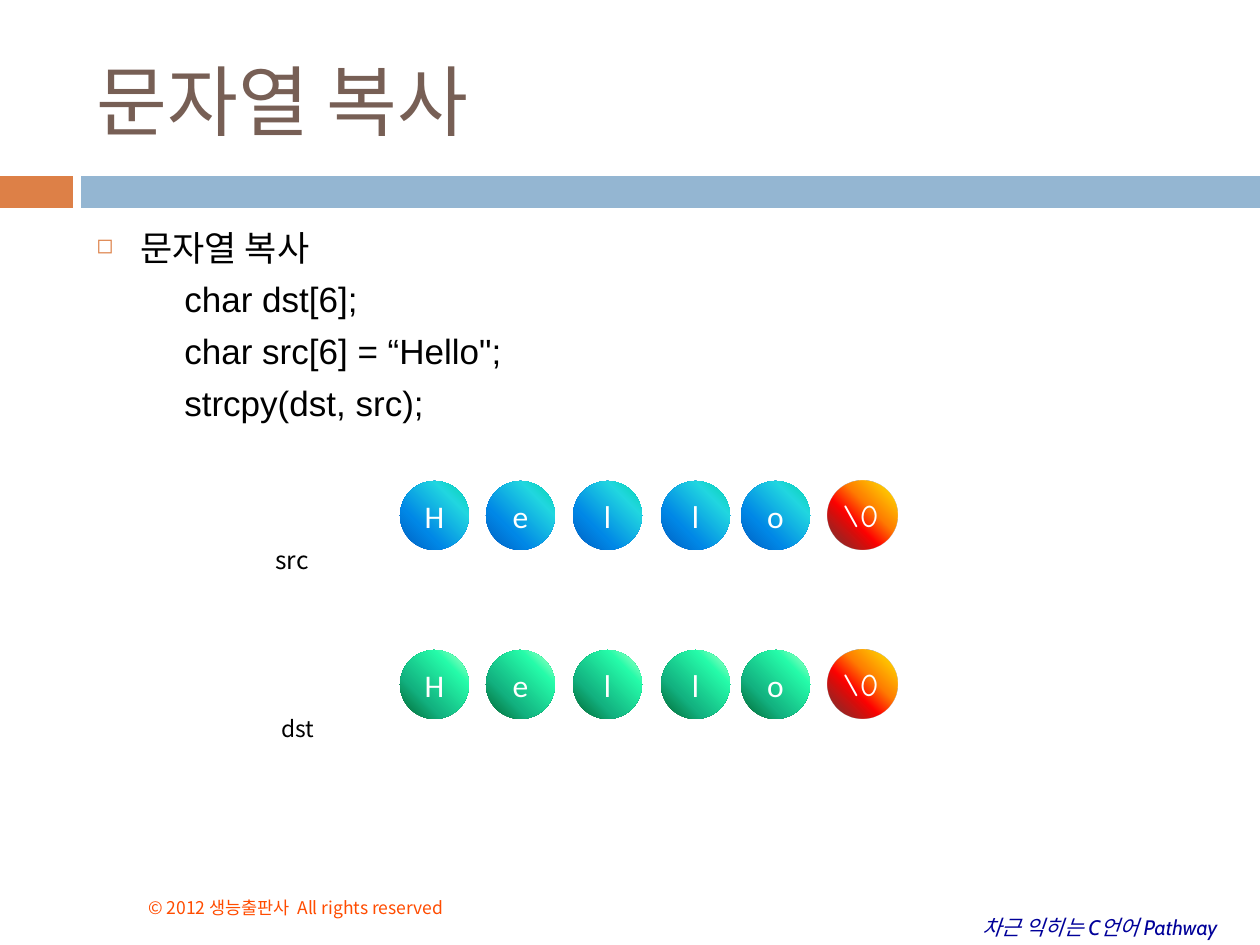
import pptx
import pptx.util
import pptx.dml.color
import pptx.enum.shapes
import pptx.enum.text
import pptx.oxml
import pptx.oxml.ns

PX = 914400 / 126
MID = pptx.enum.text.MSO_ANCHOR.MIDDLE
SHAPE = pptx.enum.shapes.MSO_SHAPE
ALIGN = pptx.enum.text.PP_ALIGN
NS = pptx.oxml.ns.nsdecls("a")


def rgb(value):
    return pptx.dml.color.RGBColor.from_string(value)


def write(sp, text, font, size, color, align=ALIGN.LEFT, italic=False, **frame):
    tf = sp.text_frame
    frame = {"word_wrap": True, "auto_size": pptx.enum.text.MSO_AUTO_SIZE.NONE, **frame}
    for name, value in frame.items():
        setattr(tf, name, value)
    for i, line in enumerate(text.split("\n")):
        p = tf.paragraphs[0] if i == 0 else tf.add_paragraph()
        p.alignment = align
        r = p.add_run()
        r.text = line
        fmt = {"name": font, "size": pptx.util.Pt(size), "italic": italic}
        for name, value in fmt.items():
            setattr(r.font, name, value)
        r.font.color.rgb = rgb(color)
    return tf


prs = pptx.Presentation()
prs.slide_width = round(1260 * PX)
prs.slide_height = round(945 * PX)
s = prs.slides.add_slide(prs.slide_layouts[5])

for left, width, color in [(0, 73, "DD8047"), (81, 1179, "94B6D2")]:
    box = [round(v * PX) for v in (left, 176, width, 32)]
    sp = s.shapes.add_shape(SHAPE.RECTANGLE, *box)
    sp.shadow.inherit = False
    sp.fill.solid()
    sp.fill.fore_color.rgb = rgb(color)
    sp.line.fill.background()

title = s.shapes.title
for name, value in {"left": 84, "top": 32, "width": 1124, "height": 136}.items():
    setattr(title, name, round(value * PX))
write(title, "문자열 복사", "Calibri", 44, "775F55", vertical_anchor=MID)

body = s.shapes.add_textbox(*[round(v * PX) for v in (84, 220, 1124, 620)])
code = "문자열 복사\n\tchar dst[6];\n\tchar src[6] = “Hello\";\n\tstrcpy(dst, src);"
tf = write(body, code, "Arial", 20, "000000")
for i, p in enumerate(tf.paragraphs):
    p.level = min(i, 1)
    pPr = p._p.get_or_add_pPr()
    margin, indent = (88, -38) if i else (44, -44)
    pPr.set("marL", str(round(margin * PX)))
    pPr.set("indent", str(round(indent * PX)))
    if i:
        p.space_before = pptx.util.Pt(5.5)
        bullet = ["<a:buNone %s/>"]
    else:
        bullet = [
            '<a:buClr %s><a:srgbClr val="DD8047"/></a:buClr>',
            '<a:buSzPct %s val="60000"/>',
            '<a:buChar %s char="◻"/>',
        ]
    for xml in bullet:
        pPr.append(pptx.oxml.parse_xml(xml % NS))

labels = [
    ((269, 709, 72, 50), "dst", "Noto Sans CJK KR", 13, "000000", False, True),
    ((263, 539, 72, 53), "src", "Noto Sans CJK KR", 14, "000000", False, True),
    ((136, 871, 483, 53), "© 2012 생능출판사  All rights reserved", "Noto Sans CJK KR", 10, "FF4C00", False, True),
    ((970, 908, 275, 38), "차근 익히는 C언어 Pathway", "Cabin", 12, "000099", True, False),
]
for box, text, font, size, color, italic, wrap in labels:
    sp = s.shapes.add_textbox(*[round(v * PX) for v in box])
    write(sp, text, font, size, color, italic=italic, word_wrap=wrap)
    if text.startswith("©"):
        sp.text_frame.vertical_anchor = pptx.enum.text.MSO_ANCHOR.BOTTOM

GREEN = [(0, "CCFFCC"), (25, "25FBA9"), (68, "12B280"), (100, "00642D")]
BLUE = [(0, "03D4A8"), (25, "21D6E0"), (68, "0087E6"), (100, "005CBF")]
FIRE = [(0, "FFF200"), (40, "FF7A00"), (60, "FF0300"), (100, "4D0808")]
lefts = [400, 486, 573, 661, 741, 828]

for top, letter_stops in [(650, GREEN), (481, BLUE)]:
    for left, char in zip(lefts, ["H", "e", "l", "l", "o", "\\0"]):
        end = char == "\\0"
        sp = s.shapes.add_shape(SHAPE.OVAL, *[round(v * PX) for v in (left, top, 69, 69)])
        sp.shadow.inherit = False
        sp.line.fill.background()
        stops = ""
        for pos, color in FIRE if end else letter_stops:
            alpha = '<a:alpha val="80000"/>' if color == "4D0808" else ""
            stops += f'<a:gs pos="{pos * 1000}"><a:srgbClr val="{color}">{alpha}</a:srgbClr></a:gs>'
        grad = pptx.oxml.parse_xml(
            f'<a:gradFill {NS} rotWithShape="1"><a:gsLst>{stops}</a:gsLst><a:path path="circle">'
            '<a:fillToRect l="100000" b="100000"/></a:path></a:gradFill>'
        )
        sp._element.spPr.find(pptx.oxml.ns.qn("a:prstGeom")).addnext(grad)
        if end:
            sp = s.shapes.add_textbox(*[round(v * PX) for v in (left + 2, top + 9, 88, 69)])
            write(sp, char, "Comic Neue", 18, "FFFFFF")
        else:
            write(sp, char, "Calibri", 18, "FFFFFF", ALIGN.CENTER, vertical_anchor=MID)

prs.save("out.pptx")
